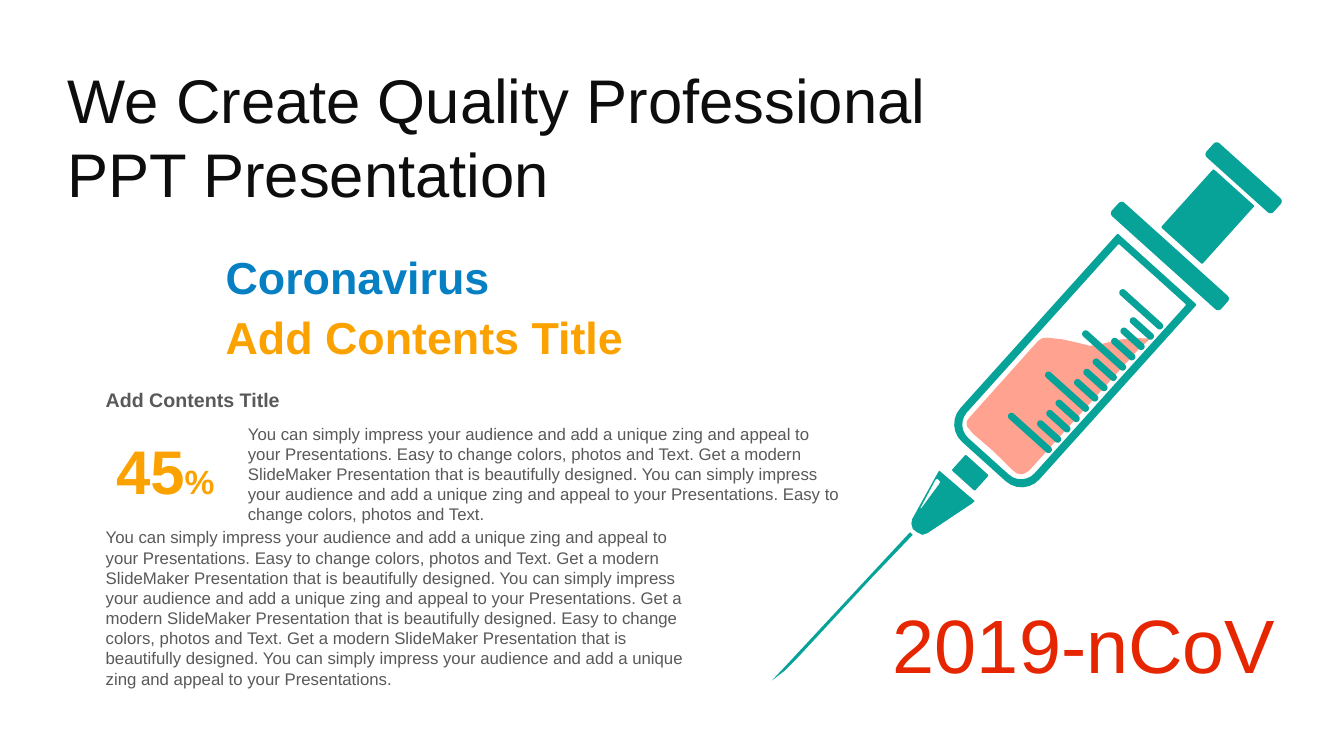
from dataclasses import dataclass
from math import cos, pi, radians, sin

from pptx import Presentation
from pptx.dml.color import RGBColor as Rgb
from pptx.enum.text import MSO_ANCHOR as Anchor, MSO_AUTO_SIZE as AutoSize, PP_ALIGN as Align
from pptx.util import Pt

Point = tuple[float, float]
Outline = list[Point]


@dataclass(frozen=True)
class Theme:
    font: str = "Arial"
    ink: str = "0D0D0D"
    grey: str = "595959"
    blue: str = "0680C3"
    amber: str = "FBA200"
    red: str = "E62601"
    teal: str = "07A398"
    liquid: str = "FFA290"
    body: int = 12
    label: int = 14
    percent: int = 24
    heading: int = 32
    title: int = 44
    virus: int = 54


THEME = Theme()


@dataclass(frozen=True)
class Run:
    text: str
    size: int
    color: str
    bold: bool = False


@dataclass(frozen=True)
class Caption:
    left: float
    top: float
    width: float
    height: float
    runs: tuple[Run, ...]
    align: Align = Align.LEFT
    anchor: Anchor = Anchor.TOP
    insets: Point = (7.2, 3.6)


@dataclass(frozen=True)
class Bar:
    """Rounded block in the syringe's own frame: x across, y towards the needle."""
    left: float
    top: float
    right: float
    bottom: float
    top_radius: float
    bottom_radius: float


# Texts
IMPRESS = ("You can simply impress your audience and add a unique zing and appeal "
           "to your Presentations.")
EASY = "Easy to change colors, photos and Text."
MODERN = "Get a modern SlideMaker Presentation that is beautifully designed."
SHORT_BODY = " ".join((IMPRESS, EASY, MODERN, IMPRESS, EASY))
LONG_BODY = " ".join((IMPRESS, EASY, MODERN, IMPRESS, MODERN, EASY, MODERN, IMPRESS))

CAPTIONS = (
    Caption(68.4, 305.3, 99.4, 60.5,
            (Run("45", THEME.title, THEME.amber, True),
             Run("%", THEME.percent, THEME.amber, True)),
            Align.CENTER, Anchor.MIDDLE),
    Caption(170, 298.8, 440, 80, (Run(SHORT_BODY, THEME.body, THEME.grey),)),
    Caption(68.4, 373, 437.8, 123.8, (Run(LONG_BODY, THEME.body, THEME.grey),)),
    Caption(68.4, 273.6, 198, 24.5,
            (Run("Add Contents Title", THEME.label, THEME.grey, True),)),
    Caption(154.1, 175, 244, 46, (Run("Coronavirus", THEME.heading, THEME.blue, True),)),
    Caption(154.1, 217.4, 340, 46,
            (Run("Add Contents Title", THEME.heading, THEME.amber, True),)),
    Caption(45.4, 43.9, 770.4, 106.6,
            (Run("We Create Quality Professional\nPPT Presentation", THEME.title, THEME.ink),),
            anchor=Anchor.MIDDLE, insets=(3, 0)),
    Caption(630.7, 423.4, 334.8, 72.7, (Run("2019-nCoV", THEME.virus, THEME.red),)),
)

# Syringe: rotated frame with its origin at the middle of the barrel's open end
BARREL_TOP = (826.6, 192.2)
TILT = radians(42)
BODY = (
    Bar(-30, -96.5, 34.5, -83, 3, 3),      # thumb rest
    Bar(-18, -80, 21.5, -24, 1, 1),        # plunger
    Bar(-52, -19.5, 53, -6.5, 3, 3),       # flange
    Bar(-38, 0, 38, 185, 1, 17),           # barrel
    Bar(-32.5, 5, 32.5, 180, 1, 13),       # barrel opening
    Bar(-13, 190, 9.2, 205, 1, 1),         # collar
)
TICK_COUNT, TICK_FIRST, TICK_STEP, TICK_HALF = 13, 29, 9.9, 2.5

NEEDLE: Outline = [(650.2, 380.2), (652, 382), (622.8, 412.6), (568.1, 471.6),
                   (560.9, 478.8), (551.5, 486), (562.3, 474.5), (649.4, 380.9)]
HUB: Outline = [(671, 336.2), (696.2, 357.8), (694.8, 359.3), (662.4, 380.9), (658.8, 382),
                (655, 380.2), (652, 377.8), (651, 374), (651.6, 370.8), (670.3, 337)]
HUB_GLINT: Outline = [(669.6, 342), (668.2, 342.7), (657.4, 363), (658, 363.2),
                      (671, 345.6), (671.6, 344)]
LIQUID: Outline = [(813.6, 249.1), (821.5, 241.9), (812.2, 241.5), (798.5, 242.6),
                   (791.9, 244.5), (785, 246.2), (778.3, 247), (769.7, 244.8),
                   (758.9, 242.4), (748.1, 241.2), (744.5, 241.6), (741.6, 243.4),
                   (692.6, 298.1), (690.4, 301), (690.7, 304.5), (694.8, 309.6),
                   (709.5, 322.2), (722.9, 335.5), (726, 338), (729, 338.8),
                   (732, 338.2), (735.1, 336.2)]


def tilted(x: float, y: float) -> Point:
    return (BARREL_TOP[0] + x * cos(TILT) - y * sin(TILT),
            BARREL_TOP[1] + x * sin(TILT) + y * cos(TILT))


def bar_outline(bar: Bar, steps: int = 6) -> Outline:
    """Walk the four rounded corners clockwise from the top left."""
    near, far = bar.top_radius, bar.bottom_radius
    corners = (
        (bar.left + near, bar.top + near, near),
        (bar.right - near, bar.top + near, near),
        (bar.right - far, bar.bottom - far, far),
        (bar.left + far, bar.bottom - far, far),
    )
    return [tilted(x + r * cos(angle), y + r * sin(angle))
            for turn, (x, y, r) in enumerate(corners)
            for angle in (pi + (turn + step / steps) * pi / 2 for step in range(steps + 1))]


def tick(index: int) -> Bar:
    middle = TICK_FIRST + index * TICK_STEP
    left = -9.5 if index % 4 == 0 else 9.5
    return Bar(left, middle - TICK_HALF, 31, middle + TICK_HALF, TICK_HALF, TICK_HALF)


def draw_outlines(slide, outlines: list[Outline], color: str) -> None:
    pens = [[(Pt(x), Pt(y)) for x, y in outline] for outline in outlines]
    builder = slide.shapes.build_freeform(*pens[0][0])
    for number, pen in enumerate(pens):
        if number:
            builder.move_to(*pen[0])
        builder.add_line_segments(pen[1:], close=True)
    part = builder.convert_to_shape()
    part.shadow.inherit = False
    part.fill.solid()
    part.fill.fore_color.rgb = Rgb.from_string(color)
    part.line.fill.background()


def style_run(run, look: Run) -> None:
    run.font.name = THEME.font
    run.font.size = Pt(look.size)
    run.font.bold = look.bold
    run.font.color.rgb = Rgb.from_string(look.color)


def draw_caption(slide, caption: Caption) -> None:
    box = slide.shapes.add_textbox(Pt(caption.left), Pt(caption.top),
                                   Pt(caption.width), Pt(caption.height))
    frame = box.text_frame
    frame.word_wrap = True
    frame.auto_size = AutoSize.SHAPE_TO_FIT_TEXT
    frame.vertical_anchor = caption.anchor
    frame.margin_left = frame.margin_right = Pt(caption.insets[0])
    frame.margin_top = frame.margin_bottom = Pt(caption.insets[1])
    first, *others = caption.runs
    frame.text = first.text
    for paragraph in frame.paragraphs:
        paragraph.alignment = caption.align
        for run in paragraph.runs:
            style_run(run, first)
    for look in others:
        run = frame.paragraphs[-1].add_run()
        run.text = look.text
        style_run(run, look)


def main() -> None:
    deck = Presentation()
    deck.slide_width, deck.slide_height = Pt(960), Pt(540)
    slide = deck.slides.add_slide(deck.slide_layouts[6])

    # Liquid below, syringe on top
    draw_outlines(slide, [LIQUID], THEME.liquid)
    bars = [*BODY, *map(tick, range(TICK_COUNT))]
    draw_outlines(slide, [NEEDLE, HUB, HUB_GLINT, *map(bar_outline, bars)], THEME.teal)

    # Texts
    for caption in CAPTIONS:
        draw_caption(slide, caption)
    deck.save("out.pptx")


if __name__ == "__main__":
    main()
